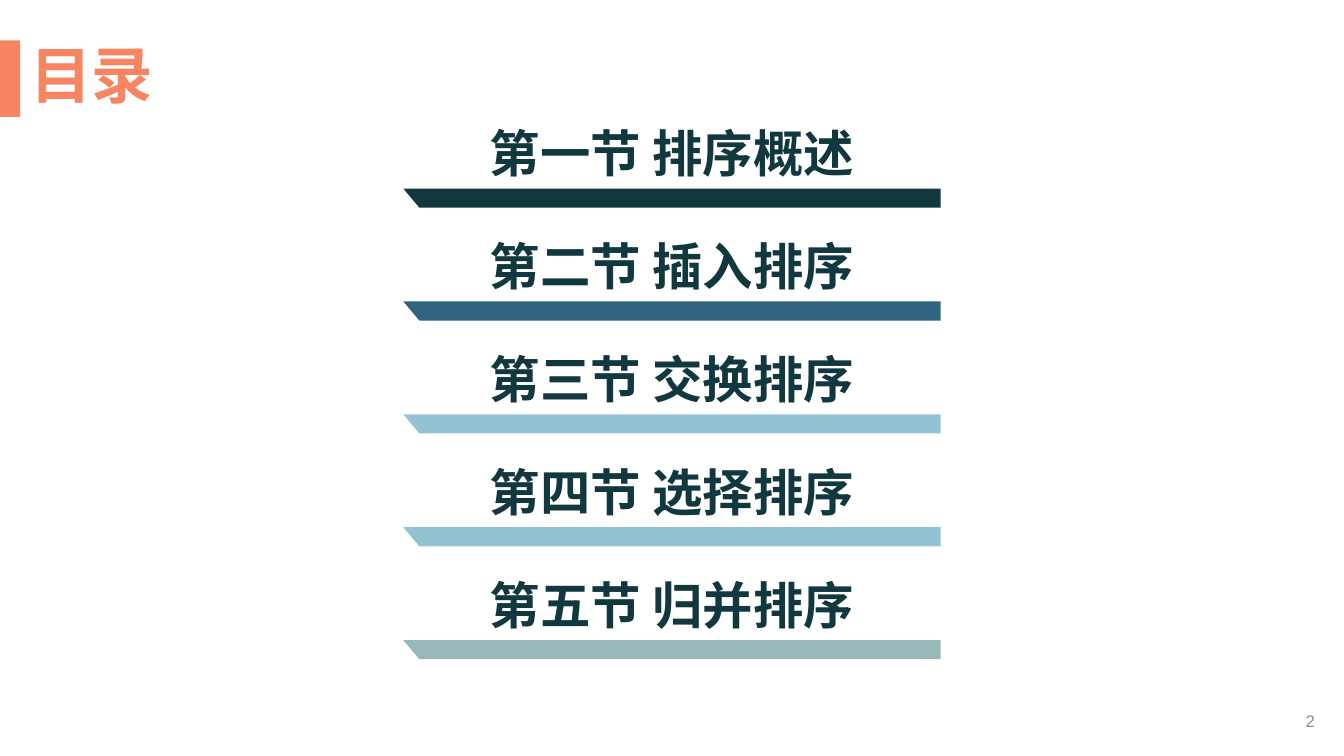
from pptx import Presentation
from pptx.dml.color import RGBColor
from pptx.enum.shapes import MSO_SHAPE
from pptx.enum.text import MSO_ANCHOR, MSO_AUTO_SIZE, PP_ALIGN
from pptx.util import Inches, Pt

COLORS = {
    "accent": "F88562",
    "ink": "11373F",
    "blue": "2F637E",
    "sky": "93C3D3",
    "sage": "98B7BB",
    "gray": "8C8C8C",
}
SECTIONS = [
    ("第一节 排序概述", "ink"),
    ("第二节 插入排序", "blue"),
    ("第三节 交换排序", "sky"),
    ("第四节 选择排序", "sky"),
    ("第五节 归并排序", "sage"),
]
LIST_LEFT, LIST_TOP, LIST_WIDTH = 4, 1.16, 5.33
ROW_STEP, LABEL_HEIGHT = 1.12, 0.71
BAR_HEIGHT, BAR_SLANT = 0.19, 0.16


def paint(shape, color):
    shape.shadow.inherit = False
    shape.fill.solid()
    shape.fill.fore_color.rgb = RGBColor.from_string(COLORS[color])
    shape.line.fill.background()


def write_text(box, text, size, color, align, bold=False, grow=True):
    frame = box.text_frame
    frame.word_wrap = True
    frame.auto_size = MSO_AUTO_SIZE.SHAPE_TO_FIT_TEXT if grow else MSO_AUTO_SIZE.NONE
    frame.vertical_anchor = MSO_ANCHOR.MIDDLE
    para = frame.paragraphs[0]
    para.alignment = align
    span = para.add_run()
    span.text = text
    span.font.name = "Arial"
    span.font.size = Pt(size)
    span.font.bold = bold
    span.font.color.rgb = RGBColor.from_string(COLORS[color])
    return para


def add_title(page, text):
    marker = page.shapes.add_shape(
        MSO_SHAPE.RECTANGLE, 0, Inches(0.4), Inches(0.2), Inches(0.76))
    paint(marker, "accent")
    title = page.shapes.title
    title.left, title.top = Inches(0.2), Inches(0.39)
    title.width, title.height = Inches(12.94), Inches(0.77)
    para = write_text(title, text, 44, "accent", PP_ALIGN.LEFT, bold=True)
    para.line_spacing = 0.9


def add_page_number(page, number):
    box = page.shapes.add_textbox(Inches(10.14), Inches(6.95), Inches(3), Inches(0.4))
    write_text(box, number, 12, "gray", PP_ALIGN.RIGHT, grow=False)


def add_section(page, top, text, color):
    """Place a section name above its bar with a slanted left end."""
    bar_top, right = top + LABEL_HEIGHT, LIST_LEFT + LIST_WIDTH
    bottom = bar_top + BAR_HEIGHT
    corners = [(right, bar_top), (right, bottom), (LIST_LEFT + BAR_SLANT, bottom)]
    builder = page.shapes.build_freeform(Inches(LIST_LEFT), Inches(bar_top))
    builder.add_line_segments([(Inches(x), Inches(y)) for x, y in corners], close=True)
    paint(builder.convert_to_shape(), color)

    label = page.shapes.add_textbox(
        Inches(LIST_LEFT), Inches(top), Inches(LIST_WIDTH), Inches(LABEL_HEIGHT))
    write_text(label, text, 36, "ink", PP_ALIGN.CENTER, bold=True)


def main():
    deck = Presentation()
    deck.slide_width, deck.slide_height = Inches(13.33), Inches(7.5)
    page = deck.slides.add_slide(deck.slide_layouts[5])
    add_title(page, "目录")
    for row, (text, color) in enumerate(SECTIONS):
        add_section(page, LIST_TOP + row * ROW_STEP, text, color)
    add_page_number(page, "2")
    deck.save("out.pptx")


if __name__ == "__main__":
    main()
